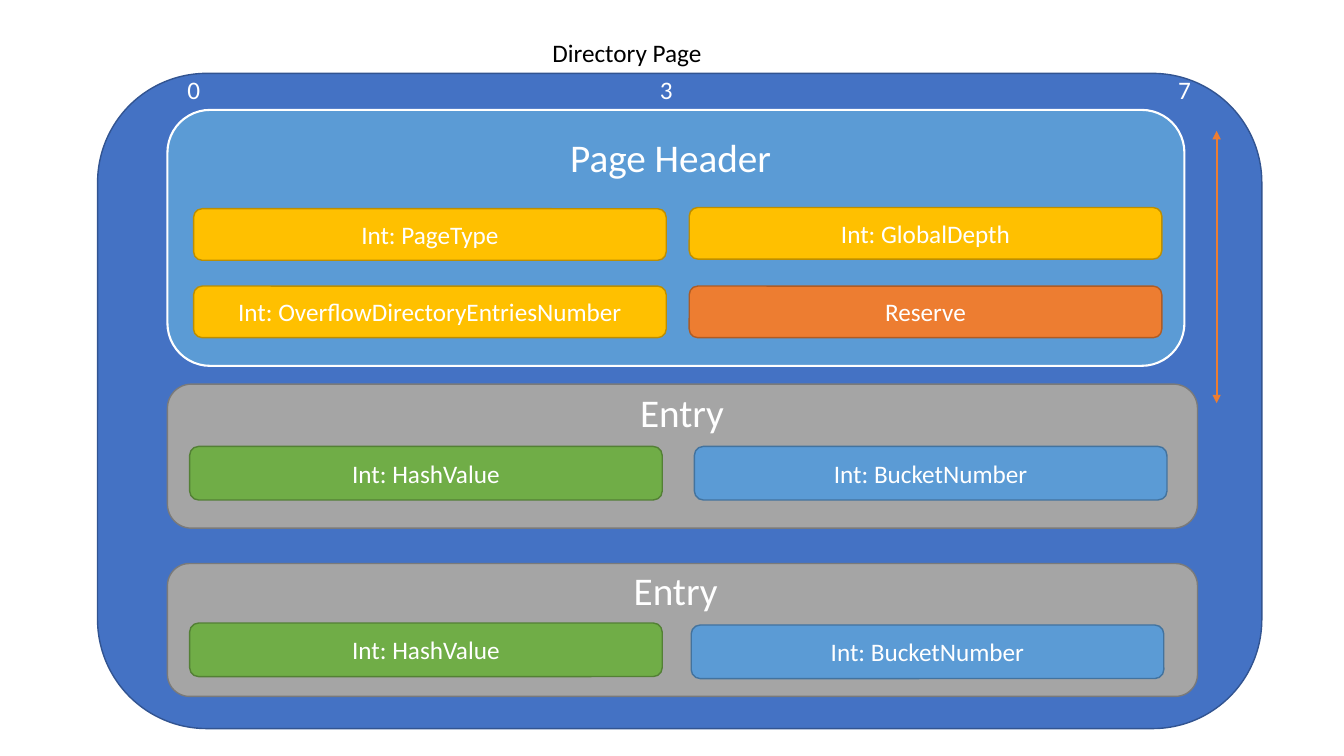
import pptx
import pptx.util
import pptx.dml.color
import pptx.enum.shapes
import pptx.enum.text
import lxml.etree

Cm, Pt = pptx.util.Cm, pptx.util.Pt
WHITE, BLACK = "FFFFFF", "000000"
BLUE = ("5B9BD5", "43739E")
GOLD = ("FFC000", "BD8E00")
ORANGE = ("ED7D31", "AF5C24")
GREEN = ("70AD47", "538035")
GRAY = ("A5A5A5", "7A7A7A")
PAGE = ("4472C4", "325491")
HEAD = ("5B9BD5", WHITE)

WIDE = 11.91
LEFT = 4.22

panels = [
    (2.46, 1.85, 29.34, 16.51, PAGE, 1),
    (LEFT, 2.77, 25.63, 6.45, HEAD, 1.5),
    (LEFT, 9.68, 25.96, 3.63, GRAY, 1),
    (LEFT, 14.2, 25.96, 3.35, GRAY, 1),
]
rows = [
    (1.3, [("Int: PageType", 4.88, 5.26, GOLD),
           ("Int: GlobalDepth", 17.37, 5.23, GOLD)]),
    (1.3, [("Int: OverflowDirectoryEntriesNumber", 4.88, 7.21, GOLD),
           ("Reserve", 17.37, 7.21, ORANGE)]),
    (1.35, [("Int: HashValue", 4.78, 11.25, GREEN),
            ("Int: BucketNumber", 17.5, 11.25, BLUE)]),
    (1.35, [("Int: HashValue", 4.78, 15.7, GREEN),
            ("Int: BucketNumber", 17.42, 15.75, BLUE)]),
]
labels = [
    ("Directory Page", 13.67, 0.81, 4.32, 18, BLACK),
    ("0", 4.47, 1.75, 0.84, 18, WHITE),
    ("3", 16.38, 1.75, 0.84, 18, WHITE),
    ("7", 29.44, 1.75, 0.84, 18, WHITE),
    ("Page Header", 14.12, 3.23, 5.64, 28, WHITE),
    ("Entry", 15.88, 9.65, 2.64, 28, WHITE),
    ("Entry", 15.72, 14.15, 2.64, 28, WHITE),
]
TALL = {18: 1.02, 28: 1.45}
ARROW = (30.66, 3.3, 30.66, 10.16)


def color(code):
    return pptx.dml.color.RGBColor.from_string(code)


def write(frame, text, size, code):
    para = frame.paragraphs[0]
    para.text = text
    para.font.name = "Calibri"
    para.font.size = Pt(size)
    para.font.color.rgb = color(code)
    return para


def box(left, top, width, height, paint, weight=1):
    shape = slide.shapes.add_shape(
        pptx.enum.shapes.MSO_SHAPE.ROUNDED_RECTANGLE,
        Cm(left), Cm(top), Cm(width), Cm(height))
    shape.shadow.inherit = False
    fill, line = paint
    shape.fill.solid()
    shape.fill.fore_color.rgb = color(fill)
    shape.line.color.rgb = color(line)
    shape.line.width = Pt(weight)
    return shape


def field(text, left, top, height, paint):
    frame = box(left, top, WIDE, height, paint).text_frame
    frame.word_wrap = True
    frame.vertical_anchor = pptx.enum.text.MSO_ANCHOR.MIDDLE
    para = write(frame, text, 18, WHITE)
    para.alignment = pptx.enum.text.PP_ALIGN.CENTER


def label(text, left, top, width, size, code):
    frame = slide.shapes.add_textbox(
        Cm(left), Cm(top), Cm(width), Cm(TALL[size])).text_frame
    frame.word_wrap = False
    frame.auto_size = pptx.enum.text.MSO_AUTO_SIZE.SHAPE_TO_FIT_TEXT
    write(frame, text, size, code)


def arrow(ends, code):
    link = slide.shapes.add_connector(
        pptx.enum.shapes.MSO_CONNECTOR.STRAIGHT, *map(Cm, ends))
    link.line.color.rgb = color(code)
    link.line.width = Pt(1.5)
    line = link.line._get_or_add_ln()
    space = "{http://schemas.openxmlformats.org/drawingml/2006/main}"
    for tip in ("headEnd", "tailEnd"):
        lxml.etree.SubElement(line, space + tip, type="triangle")
    lxml.etree.SubElement(line.getparent(), space + "effectLst")


deck = pptx.Presentation()
deck.slide_width, deck.slide_height = Cm(33.87), Cm(19.05)
slide = deck.slides.add_slide(deck.slide_layouts[6])

for panel in panels:
    box(*panel)
for height, cells in rows:
    for text, left, top, paint in cells:
        field(text, left, top, height, paint)
for item in labels:
    label(*item)
arrow(ARROW, ORANGE[0])

deck.save("out.pptx")
